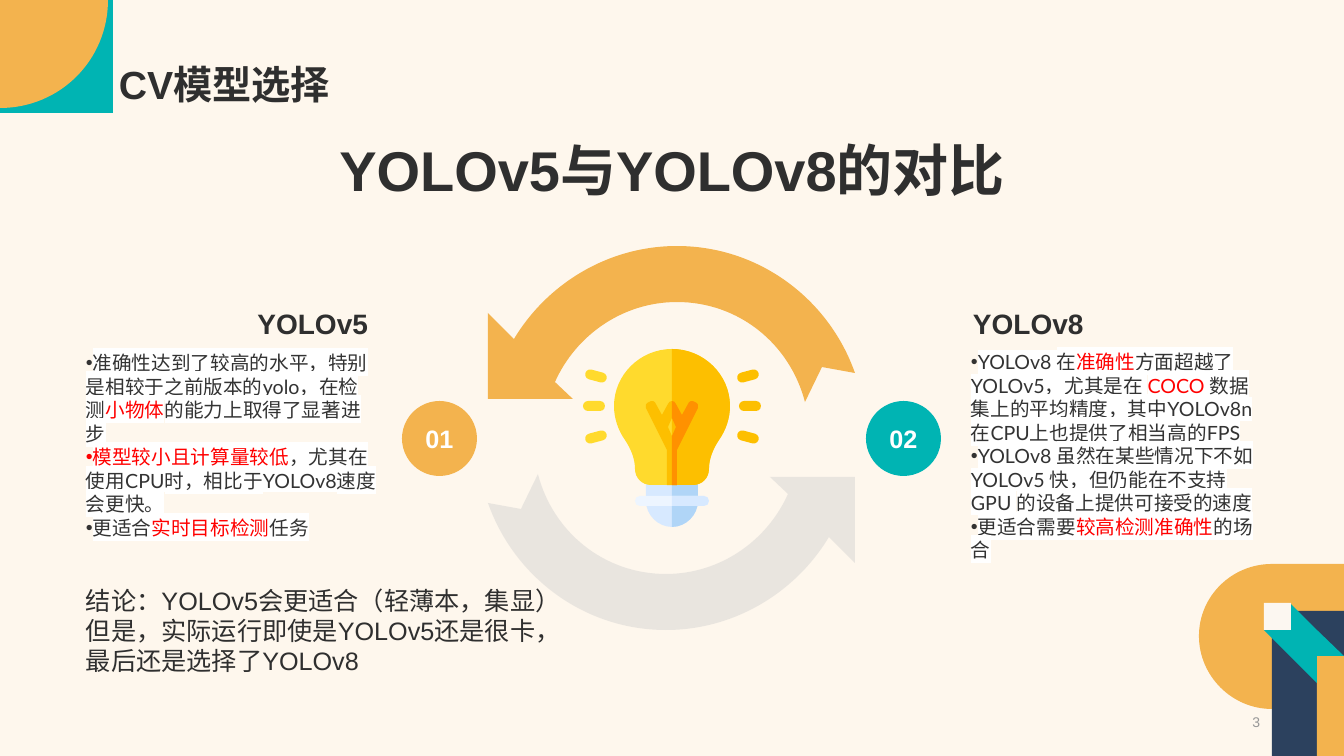
"""Builds the slide that compares YOLOv5 with YOLOv8."""
from lxml import etree
from pptx import Presentation
from pptx.dml.color import RGBColor
from pptx.enum.shapes import MSO_SHAPE
from pptx.enum.text import MSO_ANCHOR, PP_ALIGN
from pptx.oxml.ns import qn
from pptx.util import Pt

RECTANGLE, ELLIPSE, ROUNDED = MSO_SHAPE.RECTANGLE, MSO_SHAPE.OVAL, MSO_SHAPE.ROUNDED_RECTANGLE
LEFT, CENTER, RIGHT = PP_ALIGN.LEFT, PP_ALIGN.CENTER, PP_ALIGN.RIGHT
TOP, MIDDLE, BOTTOM = MSO_ANCHOR.TOP, MSO_ANCHOR.MIDDLE, MSO_ANCHOR.BOTTOM

WIDTH, HEIGHT = 1344, 756
SCALE = 12192000 / WIDTH
BULB_AXIS = 672

CREAM, ORANGE, TEAL, NAVY, SLATE = "FEF7ED", "F3B34E", "00B4B3", "2C415E", "778495"
INK, BODY, RED, WHITE, GREY = "2F2F2F", "333333", "FF0000", "FFFFFF", "979797"
YELLOW, AMBER = "FFDA2D", "FDBF00"

QUARTER_DISC = [(0, 0), (108, 0), (108, 60, 60, 108, 0, 108)]
THREE_QUARTER_DISC = [(1272, 709), (1272, 636), (1344, 636), (1344, 564), (1272, 564),
                      (1232, 564, 1199, 596, 1199, 636), (1199, 676, 1232, 709, 1272, 709)]
RIBBON = [(1290, 656), (1317, 683), (1317, 656), (1344, 656),
          (1317, 630), (1290, 603), (1290, 630), (1264, 630)]
ARROW = [(555, 382), (576, 335, 623, 302, 677, 302), (739, 302, 790, 344, 805, 402),
         (822, 367), (855, 373), (829, 299, 759, 246, 677, 246),
         (608, 246, 547, 284, 514, 339), (488, 313), (488, 399), (573, 399)]

SOCKET = [(0, 475), (21, 475), (24, 475, 26, 477, 26, 480), (26, 501),
          (26, 515, 14, 527, 0, 527)]
GLASS = [(0, 349), (32, 349, 58, 375, 58, 406), (58, 418, 54, 430, 47, 440),
         (41, 449, 37, 459, 37, 469), (37, 478, 30, 485, 21, 485), (0, 485)]
FILAMENT = [(0, 401), (2, 401, 3, 402, 4, 404), (10, 415), (16, 404),
            (17, 401, 20, 400, 23, 402), (26, 403, 27, 406, 26, 408),
            (5, 450), (5, 485), (0, 485), (0, 436), (4, 427), (0, 418)]
COLLAR = [(0, 496), (32, 496), (35, 496, 37, 498, 37, 501),
          (37, 504, 35, 506, 32, 506), (0, 506)]
BULB_PARTS = [(SOCKET, "D7E9FF", "B0D5F7"), (GLASS, YELLOW, AMBER),
              (FILAMENT, AMBER, "FF9100"), (COLLAR, "EDF5FF", "D7E9FF")]
RAYS = [(76, 376, -15), (78, 406, 0), (76, 437, 15)]

YOLOV5_POINTS = [
    [("准确性达到了较高的水平，特别是相较于之前版本的yolo，在检测", BODY), ("小物体", RED),
     ("的能力上取得了显著进步", BODY)],
    [("模型较小且计算量较低", RED), ("，尤其在使用CPU时，相比于YOLOv8速度会更快。", BODY)],
    [("更适合", BODY), ("实时目标检测", RED), ("任务", BODY)],
]
YOLOV8_POINTS = [
    [("YOLOv8 在", BODY), ("准确性", RED), ("方面超越了 YOLOv5，尤其是在 ", BODY), ("COCO", RED),
     (" 数据集上的平均精度，其中YOLOv8n在CPU上也提供了相当高的FPS", BODY)],
    [("YOLOv8 虽然在某些情况下不如 YOLOv5 快，但仍能在不支持 GPU 的设备上提供可接受的速度", BODY)],
    [("更适合需要", BODY), ("较高检测准确性", RED), ("的场合", BODY)],
]
CONCLUSION = ["结论：YOLOv5会更适合（轻薄本，集显）", "但是，实际运行即使是YOLOv5还是很卡，", "最后还是选择了YOLOv8"]


def emu(length):
    return round(length * SCALE)


def rgb(code):
    return RGBColor.from_string(code)


def move(outline, origin, signs):
    return [tuple(origin[i % 2] + signs[i % 2] * value for i, value in enumerate(node))
            for node in outline]


def backward(outline):
    ends = [node[-2:] for node in outline]
    steps = list(zip(ends, outline[1:]))
    return ends[-1:] + [(node[2:4] + node[:2] if len(node) == 6 else ()) + end
                        for end, node in reversed(steps)]


class SlideBuilder:
    def __init__(self, slide):
        self.slide = slide
        self.font = "Arial"
        self.body_font = "Lato"

    def paint(self, shape, color, alpha=None):
        shape.shadow.inherit = False
        shape.fill.solid()
        shape.fill.fore_color.rgb = rgb(color)
        shape.line.fill.background()
        if alpha is not None:
            color_element = shape._element.spPr.find(qn("a:solidFill"))[0]
            etree.SubElement(color_element, qn("a:alpha")).set("val", str(alpha * 1000))

    def shape(self, kind, left, top, width, height, color, rotation=0):
        shape = self.slide.shapes.add_shape(kind, *map(emu, (left, top, width, height)))
        shape.rotation = rotation
        self.paint(shape, color)
        return shape

    def outline(self, nodes, color, alpha=None):
        nodes = [tuple(map(emu, node)) for node in nodes]
        builder = self.slide.shapes.build_freeform(*nodes[0], scale=1.0)
        builder.add_line_segments([node[-2:] for node in nodes[1:]], close=True)
        shape = builder.convert_to_shape()
        lines = list(shape._element.iter(qn("a:lnTo")))
        for line, node in zip(lines, nodes[1:]):
            if len(node) == 6:
                curve = etree.Element(qn("a:cubicBezTo"))
                for x, y in zip(node[::2], node[1::2]):
                    point = etree.SubElement(curve, qn("a:pt"))
                    point.set("x", str(x - shape.left))
                    point.set("y", str(y - shape.top))
                line.getparent().replace(line, curve)
        self.paint(shape, color, alpha)

    def symmetric(self, half, left_color, right_color):
        right = move(half, (BULB_AXIS, 0), (1, 1))
        left = move(backward(half), (BULB_AXIS, 0), (-1, 1))
        self.outline(right + left[1:], left_color)
        self.outline(right, right_color)

    def run(self, paragraph, text, size, color, bold=False, font=None, highlight=None):
        run = paragraph.add_run()
        run.text = text
        run.font.size = Pt(size)
        run.font.bold = bold
        run.font.color.rgb = rgb(color)
        run.font.name = font or self.font
        if highlight:
            element = etree.Element(qn("a:highlight"))
            etree.SubElement(element, qn("a:srgbClr")).set("val", highlight)
            run.font._element.find(qn("a:solidFill")).addnext(element)

    def box(self, place, anchor=TOP):
        frame = self.slide.shapes.add_textbox(*map(emu, place)).text_frame
        frame.word_wrap = True
        frame.vertical_anchor = anchor
        return frame

    def text(self, lines, place, size, color=INK, bold=False, align=LEFT, anchor=TOP, spacing=None):
        frame = self.box(place, anchor)
        for index, line in enumerate(lines):
            paragraph = frame.add_paragraph() if index else frame.paragraphs[0]
            paragraph.alignment = align
            paragraph.line_spacing = spacing
            self.run(paragraph, line, size, color, bold)

    def bullets(self, points, place):
        frame = self.box(place)
        for index, parts in enumerate(points):
            paragraph = frame.add_paragraph() if index else frame.paragraphs[0]
            properties = paragraph._p.get_or_add_pPr()
            etree.SubElement(properties, qn("a:buFont")).set("typeface", self.font)
            etree.SubElement(properties, qn("a:buChar")).set("char", "•")
            for text, color in parts:
                self.run(paragraph, text, 14, color, font=self.body_font, highlight=WHITE)

    def badge(self, label, left, color):
        frame = self.shape(ELLIPSE, left, 401, 75, 75, color).text_frame
        frame.word_wrap = False
        frame.vertical_anchor = MIDDLE
        frame.paragraphs[0].alignment = CENTER
        self.run(frame.paragraphs[0], label, 18, WHITE, bold=True)


def main():
    presentation = Presentation()
    presentation.slide_width, presentation.slide_height = emu(WIDTH), emu(HEIGHT)
    slide = presentation.slides.add_slide(presentation.slide_layouts[6])
    slide.background.fill.solid()
    slide.background.fill.fore_color.rgb = rgb(CREAM)
    builder = SlideBuilder(slide)

    builder.shape(RECTANGLE, 0, 0, 113, 113, TEAL)
    builder.outline(QUARTER_DISC, ORANGE)
    builder.outline(THREE_QUARTER_DISC, ORANGE)
    builder.shape(RECTANGLE, 1272, 611, 72, 145, NAVY)
    builder.shape(RECTANGLE, 1317, 656, 27, 100, ORANGE)
    builder.outline(RIBBON, TEAL)
    builder.shape(RECTANGLE, 1264, 603, 27, 27, "FCF7F1")

    builder.text(["CV模型选择"], (109, 0, 1161, 113), 28, bold=True, anchor=BOTTOM, spacing=0.9)
    builder.text(["3"], (977, 710, 293, 24), 10, GREY, align=RIGHT, anchor=MIDDLE)
    builder.text(["YOLOv5与YOLOv8的对比"], (224, 131, 896, 78), 40, bold=True, align=CENTER)

    builder.text(["YOLOv8"], (963, 302, 313, 44), 20, bold=True)
    builder.bullets(YOLOV8_POINTS, (961, 345, 311, 224))
    builder.badge("02", 866, TEAL)
    builder.text(["YOLOv5"], (66, 302, 312, 44), 20, bold=True, align=RIGHT)
    builder.bullets(YOLOV5_POINTS, (76, 346, 311, 176))
    builder.badge("01", 402, ORANGE)

    builder.outline(ARROW, ORANGE)
    builder.outline(move(ARROW, (1343, 876), (-1, -1)), SLATE, alpha=15)

    for half, left_color, right_color in BULB_PARTS:
        builder.symmetric(half, left_color, right_color)
    for side, color in ((-1, YELLOW), (1, AMBER)):
        for distance, middle, angle in RAYS:
            ray = builder.shape(ROUNDED, BULB_AXIS + side * distance - 11, middle - 5,
                                22, 10, color, side * angle)
            ray.adjustments[0] = 0.5

    builder.text(CONCLUSION, (76, 580, 604, 102), 18)
    presentation.save("out.pptx")


if __name__ == "__main__":
    main()
